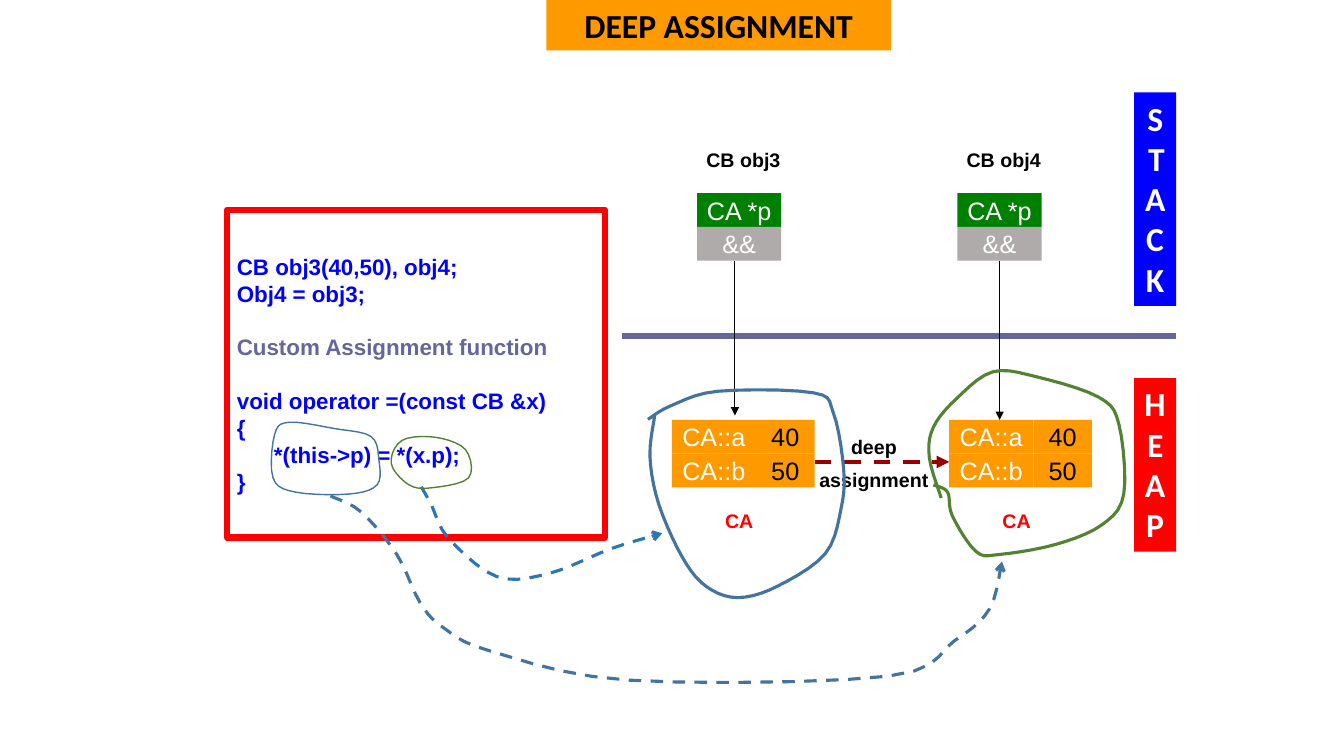
from dataclasses import dataclass

from lxml.etree import SubElement
from pptx import Presentation
from pptx.dml.color import RGBColor
from pptx.enum.dml import MSO_LINE as Dash
from pptx.enum.shapes import MSO_CONNECTOR as Link, MSO_SHAPE as Preset
from pptx.enum.text import MSO_ANCHOR as Anchor, MSO_AUTO_SIZE as AutoSize, PP_ALIGN as Align
from pptx.oxml.ns import qn
from pptx.util import Cm, Pt


@dataclass(frozen=True)
class Theme:
    orange: str = "FF9900"
    blue: str = "0000FF"
    red: str = "FF0000"
    green: str = "008000"
    grey: str = "AFABAB"
    slate: str = "666699"
    maroon: str = "990000"
    ink: str = "000000"
    paper: str = "FFFFFF"
    pen_blue: str = "43739E"
    pen_sky: str = "2E75B6"
    pen_green: str = "548235"
    heading: int = 24
    cell: int = 18
    code: int = 16
    label: int = 14
    head_font: str = "Calibri"
    body_font: str = "Arial"


T = Theme()

# Content
TITLE = "DEEP ASSIGNMENT"
REGIONS = [("STACK", T.blue, 2.33, 5.38), ("HEAP", T.red, 9.53, 4.37)]
POINTER = [("CA *p", T.green), ("&&", T.grey)]
FIELDS = [("CA::a", "40"), ("CA::b", "50")]
# name, stack left, heap left, arrow x, arrow end
OBJECTS = [("CB obj3", 17.57, 16.93, 18.52, 10.47),
           ("CB obj4", 24.13, 23.92, 25.19, 10.58)]
HEAP_CLASS = "CA"
COPY_LABEL = ["deep", "assignment"]
# text, colour, starts a new block
CODE = [
    ("CB obj3(40,50), obj4;", T.blue, False),
    ("Obj4 = obj3;", T.blue, False),
    ("Custom Assignment function", T.slate, True),
    ("void operator =(const CB &x)", T.blue, True),
    ("{", T.blue, False),
    ("      *(this->p) = *(x.p);", T.blue, False),
    ("}", T.blue, False),
]

# Pen strokes: colour, width, closed, dashed arrow, points in cm
STROKES = [
    # Around the object of obj3
    (T.pen_blue, 2.25, False, False, [
        (16.33, 10.57), (16.9, 10.23), (18.1, 9.86), (20.5, 9.9), (21.0, 10.4),
        (21.26, 11.8), (21.2, 12.8), (20.8, 13.95), (19.6, 14.77), (18.6, 15.06),
        (17.8, 14.78), (17.2, 14.05), (16.6, 12.7), (16.38, 11.5), (16.5, 10.47)]),
    # Around *(this->p)
    (T.pen_blue, 1, True, False, [
        (6.88, 12.04), (6.92, 10.95), (7.29, 10.64), (8.43, 10.8), (9.35, 11.0),
        (9.55, 11.6), (9.5, 12.22), (8.79, 12.45), (7.44, 12.4)]),
    # From *(x.p) to the object of obj3
    (T.pen_sky, 2.25, False, True, [
        (10.62, 12.27), (10.87, 12.72), (11.3, 13.56), (12.52, 14.53),
        (13.84, 14.45), (15.42, 13.82), (16.69, 13.44)]),
    # Around the object of obj4
    (T.pen_green, 2.25, False, False, [
        (23.72, 12.55), (23.42, 11.53), (23.52, 10.77), (24.1, 10.05), (25.02, 9.37),
        (26.14, 9.5), (27.69, 10.01), (28.2, 10.7), (28.32, 12.45), (27.76, 13.23),
        (26.6, 13.72), (25.2, 13.97), (24.6, 13.9), (24.0, 13.0), (23.88, 12.4),
        (23.52, 12.22)]),
    # Around *(x.p)
    (T.pen_green, 1, True, False, [
        (10.31, 12.22), (9.86, 11.68), (10.13, 11.1), (10.97, 11.02), (11.73, 11.33),
        (11.81, 12.04), (10.9, 12.29)]),
    # From *(this->p) to the object of obj4
    (T.pen_blue, 2.25, False, True, [
        (8.33, 12.5), (9.1, 12.9), (10.0, 13.97), (10.59, 15.19), (11.18, 15.82),
        (12.37, 16.41), (15.85, 17.14), (22.38, 17.04), (24.05, 16.15),
        (24.94, 15.34), (25.25, 14.15)]),
]


def smooth_curve(points, closed, steps=5):
    """Catmull-Rom curve through the points of a stroke."""
    ring = [points[-1], *points, points[0], points[1]] if closed else [
        points[0], *points, points[-1]]
    curve = [points[0]]
    for a, b, c, d in zip(ring, ring[1:], ring[2:], ring[3:]):
        for t in (step / steps for step in range(1, steps + 1)):
            curve.append(tuple(
                q + t / 2 * (r - p + t * (2 * p - 5 * q + 4 * r - s
                                          + t * (3 * (q - r) + s - p)))
                for p, q, r, s in zip(a, b, c, d)))
    return curve


def write(shape, text, size=T.label, color=T.ink, bold=False, font=T.body_font,
          align=Align.CENTER, anchor=Anchor.TOP, wrap=True, gap=0, pitch=None):
    """Write one string, or a list of (text, colour, space before) paragraphs."""
    frame = shape.text_frame
    frame.auto_size = AutoSize.NONE
    frame.word_wrap = wrap
    frame.vertical_anchor = anchor
    rows = [(text, color, False)] if isinstance(text, str) else text
    for i, (line, ink, apart) in enumerate(rows):
        para = frame.add_paragraph() if i else frame.paragraphs[0]
        para.text = line
        para.alignment = align
        para.space_before = Pt(gap if apart else 0)
        if pitch:
            para.line_spacing = Pt(pitch)
        para.font.name, para.font.size, para.font.bold = font, Pt(size), bold
        para.font.color.rgb = RGBColor.from_string(ink)


def block(left, top, width, height, fill, edge=None):
    shape = shapes.add_shape(Preset.RECTANGLE, Cm(left), Cm(top), Cm(width), Cm(height))
    shape.shadow.inherit = False
    shape.fill.solid()
    shape.fill.fore_color.rgb = RGBColor.from_string(fill)
    if edge:
        draw_line(shape, edge, 4.5)
    else:
        shape.line.fill.background()
    return shape


def cell(left, top, width, text, fill, color=T.paper):
    write(block(left, top, width, ROW, fill), text, size=T.cell, color=color,
          anchor=Anchor.MIDDLE, wrap=False)


def label(left, top, width, height, text, **style):
    box = shapes.add_textbox(Cm(left), Cm(top), Cm(width), Cm(height))
    write(box, text, bold=True, **style)


def draw_line(shape, color, width, dashed=False, head=None):
    shape.line.color.rgb = RGBColor.from_string(color)
    shape.line.width = Pt(width)
    if dashed:
        shape.line.dash_style = Dash.DASH
    if head:
        SubElement(shape._element.spPr.find(qn("a:ln")), qn("a:tailEnd"), type=head)


def connect(x1, y1, x2, y2, color, width, **style):
    link = shapes.add_connector(Link.STRAIGHT, Cm(x1), Cm(y1), Cm(x2), Cm(y2))
    draw_line(link, color, width, **style)
    SubElement(link._element.spPr, qn("a:effectLst"))


ROW, KEY_W, VALUE_W = 0.85, 2.12, 1.48
STACK_TOP, HEAP_TOP = 4.87, 10.58

prs = Presentation()
prs.slide_width, prs.slide_height = Cm(33.87), Cm(19.05)
slide = prs.slides.add_slide(prs.slide_layouts[5])
shapes = slide.shapes

# Title
title = shapes.title
title.left, title.top, title.width, title.height = Cm(13.77), Cm(0), Cm(8.68), Cm(1.27)
title.fill.solid()
title.fill.fore_color.rgb = RGBColor.from_string(T.orange)
write(title, TITLE, size=T.heading, bold=True, font=T.head_font)

# Memory regions and the border between them
for region, fill, top, height in REGIONS:
    write(block(28.58, top, 1.06, height, fill), region, size=T.heading,
          color=T.paper, bold=True, font=T.head_font)
connect(15.67, 8.47, 29.63, 8.47, T.slate, 4.5)

# Objects: pointer on the stack, fields on the heap
for name, stack_x, heap_x, arrow_x, arrow_end in OBJECTS:
    label(stack_x - 0.21, 3.6, 2.75, ROW, name)
    for i, (text, fill) in enumerate(POINTER):
        cell(stack_x, STACK_TOP + i * ROW, KEY_W, text, fill)
    for i, (field, value) in enumerate(FIELDS):
        top = HEAP_TOP + i * ROW
        cell(heap_x, top, KEY_W, field, T.orange)
        cell(heap_x + KEY_W, top, VALUE_W, value, T.orange, T.ink)
    label(heap_x + 0.64, 12.7, KEY_W, ROW, HEAP_CLASS, color=T.red)
    connect(arrow_x, STACK_TOP + 2 * ROW, arrow_x, arrow_end, T.ink, 0.75, head="triangle")

# Code
write(block(5.72, 5.29, 9.53, 8.26, T.paper, T.red), CODE, size=T.code, bold=True,
      align=Align.LEFT, anchor=Anchor.MIDDLE, gap=19.2, pitch=19.2)

# Deep assignment between the two objects
connect(20.53, 11.64, 23.92, 11.64, T.maroon, 3, dashed=True, head="triangle")
label(20.12, 10.83, 3.81, 1.75, [(word, T.ink, i > 0) for i, word in enumerate(COPY_LABEL)],
      gap=7)

# Pen strokes
for color, width, closed, arrow, points in STROKES:
    start, *rest = [(Cm(x), Cm(y)) for x, y in smooth_curve(points, closed)]
    pen = shapes.build_freeform(*start)
    pen.add_line_segments(rest, close=closed)
    stroke = pen.convert_to_shape()
    stroke.shadow.inherit = False
    stroke.fill.background()
    draw_line(stroke, color, width, dashed=arrow, head="arrow" if arrow else None)

prs.save("out.pptx")
